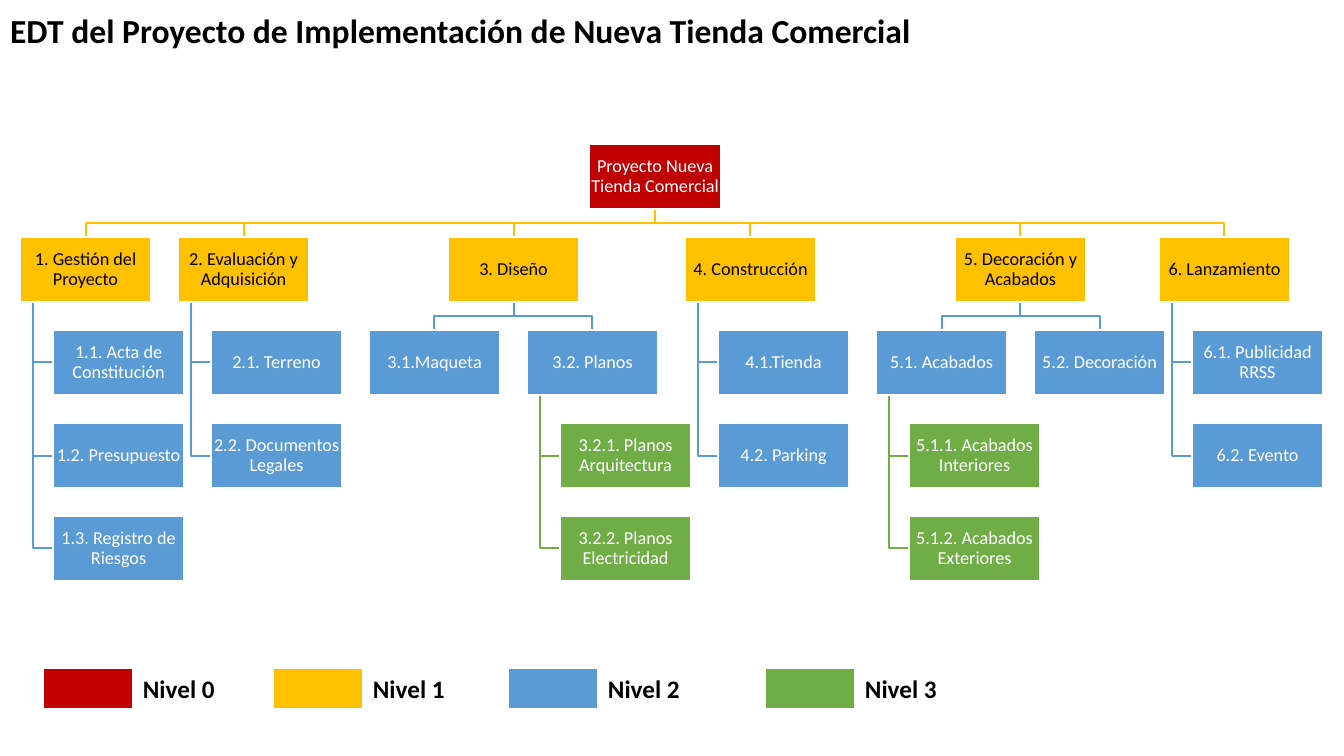
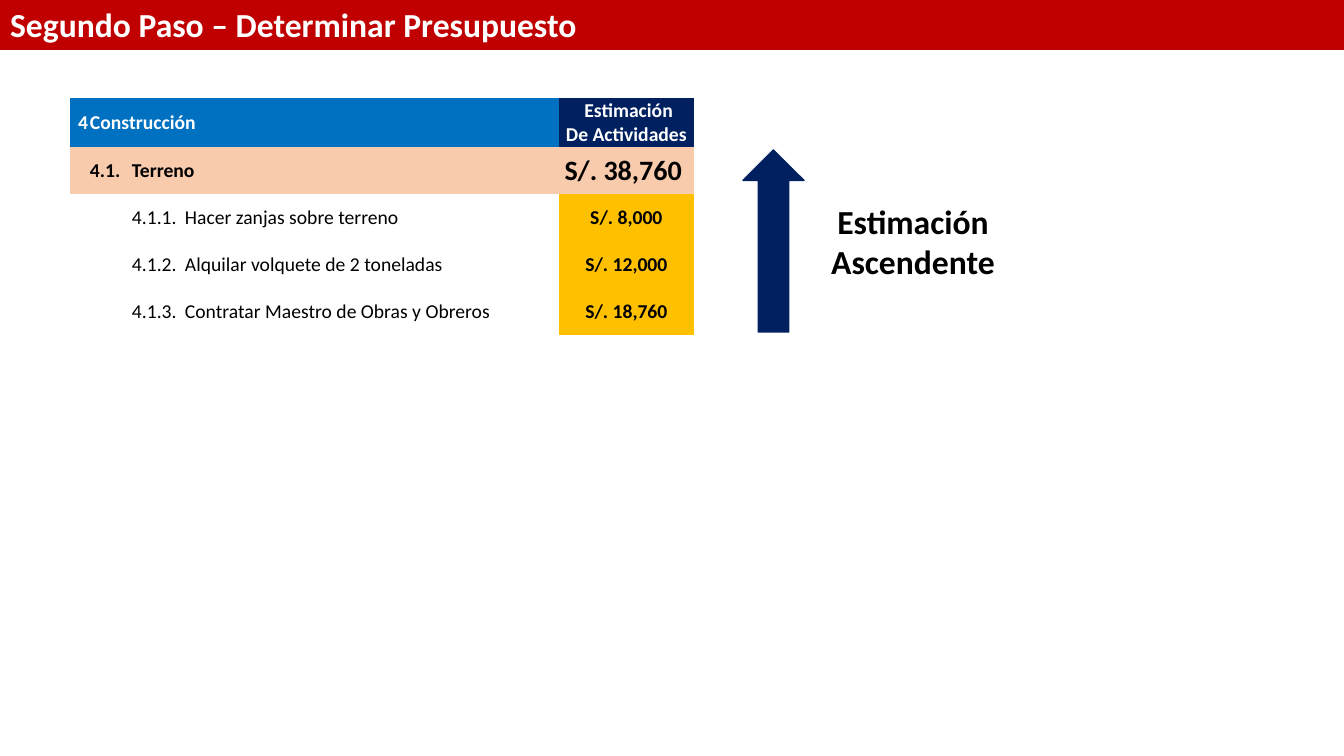
from dataclasses import dataclass, field
from pptx import Presentation
from pptx import util as u
from pptx.dml.color import RGBColor
from pptx.enum import shapes, text

# Theme: colours, type sizes and text formats
THEME = dict(
    font="Calibri", white="FFFFFF", black="000000", red="C00000", navy="002060",
    blue="0070C0", peach="F8CBAD", gold="FFC000", sky="5B9BD5", green="70AD47",
    head=24, key=18, cell=14, sum=20, box=13)
LEVELS = [THEME[k] for k in ("red", "gold", "sky", "green")]
MID, TOP = text.MSO_ANCHOR.MIDDLE, text.MSO_ANCHOR.TOP
LEFT, CENTER, RIGHT = (text.PP_ALIGN.LEFT, text.PP_ALIGN.CENTER,
                       text.PP_ALIGN.RIGHT)
SCALE = 914400 / 100.8
SIZE = 1344, 756

# Content of the work breakdown: (name, children)
WBS_HEAD = "EDT del Proyecto de Implementación de Nueva Tienda Comercial"
WBS = ("Proyecto Nueva Tienda Comercial", [
    ("1. Gestión del Proyecto", [
        ("1.1. Acta de Constitución", []),
        ("1.2. Presupuesto", []),
        ("1.3. Registro de Riesgos", [])]),
    ("2. Evaluación y Adquisición", [
        ("2.1. Terreno", []),
        ("2.2. Documentos Legales", [])]),
    ("3. Diseño", [
        ("3.1.Maqueta", []),
        ("3.2. Planos", [
            ("3.2.1. Planos Arquitectura", []),
            ("3.2.2. Planos Electricidad", [])])]),
    ("4. Construcción", [
        ("4.1.Tienda", []),
        ("4.2. Parking", [])]),
    ("5. Decoración y Acabados", [
        ("5.1. Acabados", [
            ("5.1.1. Acabados Interiores", []),
            ("5.1.2. Acabados Exteriores", [])]),
        ("5.2. Decoración", [])]),
    ("6. Lanzamiento", [
        ("6.1. Publicidad RRSS", []),
        ("6.2. Evento", [])])])
LEGEND = [("Nivel 0", 43), ("Nivel 1", 273), ("Nivel 2", 508), ("Nivel 3", 765)]

# Content of the budget
COST_HEAD = "Segundo Paso – Determinar Presupuesto"
COLS, ROW = [19, 42, 53, 375, 135], 47
TASKS = [("4.1.1.", "Hacer zanjas sobre terreno", "S/. 8,000"),
         ("4.1.2.", "Alquilar volquete de 2 toneladas", "S/. 12,000"),
         ("4.1.3.", "Contratar Maestro de Obras y Obreros", "S/. 18,760")]
COSTS = [["4", "Construcción", "", "", " Estimación\nDe Actividades"],
         ["", "4.1.", "Terreno", "", "S/. 38,760 "],
         *[["", "", *task] for task in TASKS]]
SPANS = [(0, 1, 3), (1, 2, 3)]  # row, first column, last column
FILLS = [("blue", "navy"), ("peach", "peach")] + [(None, "gold")] * len(TASKS)
NOTE = "Estimación Ascendente"

# Tree measures
BOX_W, BOX_H, GAP, STEP, INDENT, STEM = 131, 65, 27, 93, 33, 13
TREE_X, TREE_Y = 20, 144


@dataclass
class Node:
    name: str
    kids: list = field(default_factory=list)
    level: int = 0
    row: int = 0
    x: float = 0

    @property
    def y(self):
        return TREE_Y + STEP * self.row

    @property
    def hangs(self):
        return not any(kid.kids for kid in self.kids)

    def walk(self):
        yield self
        for kid in self.kids:
            yield from kid.walk()

    def shift(self, dx):
        for node in self.walk():
            node.x += dx


def grow(item, level=0, row=0):
    """Hang leaves below a parent; pack other branches row by row."""
    name, subs = item
    node = Node(name, [], level, row)
    stack = not any(sub[1] for sub in subs)
    done = []
    for i, sub in enumerate(subs):
        kid = grow(sub, level + 1, row + 1 + (i if stack else 0))
        kid.shift(INDENT if stack else max(
            (a.x + BOX_W + GAP - b.x for a in done for b in kid.walk()
             if a.row == b.row), default=0))
        done += kid.walk()
        node.kids.append(kid)
    if subs and not stack:
        node.x = (node.kids[0].x + node.kids[-1].x) / 2
    return node


def px(*nums):
    return [u.Emu(round(n * SCALE)) for n in nums]


def rgb(code):
    return RGBColor.from_string(code)


def write(frame, words, size, color="black", bold=True, align=LEFT, lead=1.0):
    frame.text = words
    for para in frame.paragraphs:
        for key, val in dict(alignment=align, line_spacing=lead).items():
            setattr(para, key, val)
        for run in para.runs:
            look = dict(name=THEME["font"], size=u.Pt(THEME[size]), bold=bold)
            for key, val in look.items():
                setattr(run.font, key, val)
            run.font.color.rgb = rgb(THEME[color])


def frame_up(frame, anchor=TOP):
    look = dict(word_wrap=True, auto_size=text.MSO_AUTO_SIZE.NONE,
                vertical_anchor=anchor)
    for key, val in look.items():
        setattr(frame, key, val)


def inset(part, low=1):
    sides = dict(left=1, right=1, top=1, bottom=low)
    for side, val in sides.items():
        setattr(part, "margin_" + side, px(val)[0])


def block(slide, at, fill, line=THEME["white"], kind=shapes.MSO_SHAPE.RECTANGLE):
    shape = slide.shapes.add_shape(kind, *px(*at))
    shape.shadow.inherit = False
    shape.fill.solid()
    shape.fill.fore_color.rgb = rgb(fill)
    shape.line.color.rgb = rgb(line)
    shape.line.width = u.Pt(1)
    return shape


def label(slide, at, words, size, align=LEFT):
    frame = slide.shapes.add_textbox(*px(*at)).text_frame
    frame_up(frame)
    write(frame, words, size, align=align)


def start(deck, words, at, color="black", band=None):
    """Add a slide with the shared title style."""
    slide = deck.slides.add_slide(deck.slide_layouts[5])
    title = slide.shapes.title
    for key, val in zip(("left", "top", "width", "height"), px(*at)):
        setattr(title, key, val)
    frame_up(title.text_frame)
    write(title.text_frame, words, "head", color)
    if band:
        title.fill.solid()
        title.fill.fore_color.rgb = rgb(THEME[band])
    return slide


def link(slide, node, kid):
    mid, low = node.x + BOX_W / 2, node.y + BOX_H
    if node.hangs:
        side, end = node.x + STEM, kid.y + BOX_H / 2
        points = [(side, low), (side, end), (kid.x, end)]
    else:
        bend, end = (low + kid.y) / 2, kid.x + BOX_W / 2
        points = [(mid, low), (mid, bend), (end, bend), (end, kid.y)]
    pen = slide.shapes.build_freeform(*points[0], scale=SCALE)
    pen.add_line_segments(points[1:], close=False)
    wire = pen.convert_to_shape()
    wire.shadow.inherit = False
    wire.fill.background()
    wire.line.color.rgb = rgb(LEVELS[kid.level])
    wire.line.width = u.Pt(1)


def draw_tree(deck):
    slide = start(deck, WBS_HEAD, (0, 5, 971, 50))
    root = grow(WBS)
    root.shift(TREE_X - min(node.x for node in root.walk()))
    # Links lie behind the boxes
    for node in root.walk():
        for kid in reversed(node.kids):
            link(slide, node, kid)
    for node in root.walk():
        box = block(slide, (node.x, node.y, BOX_W, BOX_H), LEVELS[node.level])
        frame_up(box.text_frame, MID)
        inset(box.text_frame)
        write(box.text_frame, node.name, "box",
              "black" if node.level == 1 else "white", False, CENTER, 0.9)
    # Legend
    for (words, x), fill in zip(LEGEND, LEVELS):
        block(slide, (x, 668, 90, 41), fill)
        label(slide, (x + 90, 668, 116, 41), words, "key")


def draw_costs(deck):
    slide = start(deck, COST_HEAD, (0, -1, SIZE[0], 51), "white", "red")
    # Budget table, without style or grid
    table = slide.shapes.add_table(
        len(COSTS), len(COLS), *px(70, 98, sum(COLS), ROW * len(COSTS))).table
    table.first_row = table.horz_banding = False
    table._tbl.tblPr[0].text = "{2D5ABB26-0587-4C30-8999-92F81FD0307C}"
    for col, wide in zip(table.columns, px(*COLS)):
        col.width = wide
    last = len(COLS) - 1
    for r, row in enumerate(COSTS):
        table.rows[r].height = px(ROW)[0]
        for c, words in enumerate(row):
            cell = table.cell(r, c)
            cell.vertical_anchor = MID
            inset(cell, 0)
            fill = FILLS[r][c == last]
            if fill:
                cell.fill.solid()
                cell.fill.fore_color.rgb = rgb(THEME[fill])
            else:
                cell.fill.background()
            if words:
                align = CENTER if c == last else RIGHT if c == 0 else LEFT
                write(cell.text_frame, words,
                      "sum" if (r, c) == (1, last) else "cell",
                      "black" if r else "white", r < 2 or c == last, align)
    for r, first, end in SPANS:
        table.cell(r, first).merge(table.cell(r, end))
    # Bottom-up arrow and its caption
    block(slide, (743, 150, 61, 182), THEME["navy"], THEME["navy"],
          shapes.MSO_SHAPE.UP_ARROW)
    label(slide, (805, 196, 216, 92), NOTE, "head", CENTER)


def main():
    deck = Presentation()
    deck.slide_width, deck.slide_height = px(*SIZE)
    draw_tree(deck)
    draw_costs(deck)
    deck.save("out.pptx")


if __name__ == "__main__":
    main()
